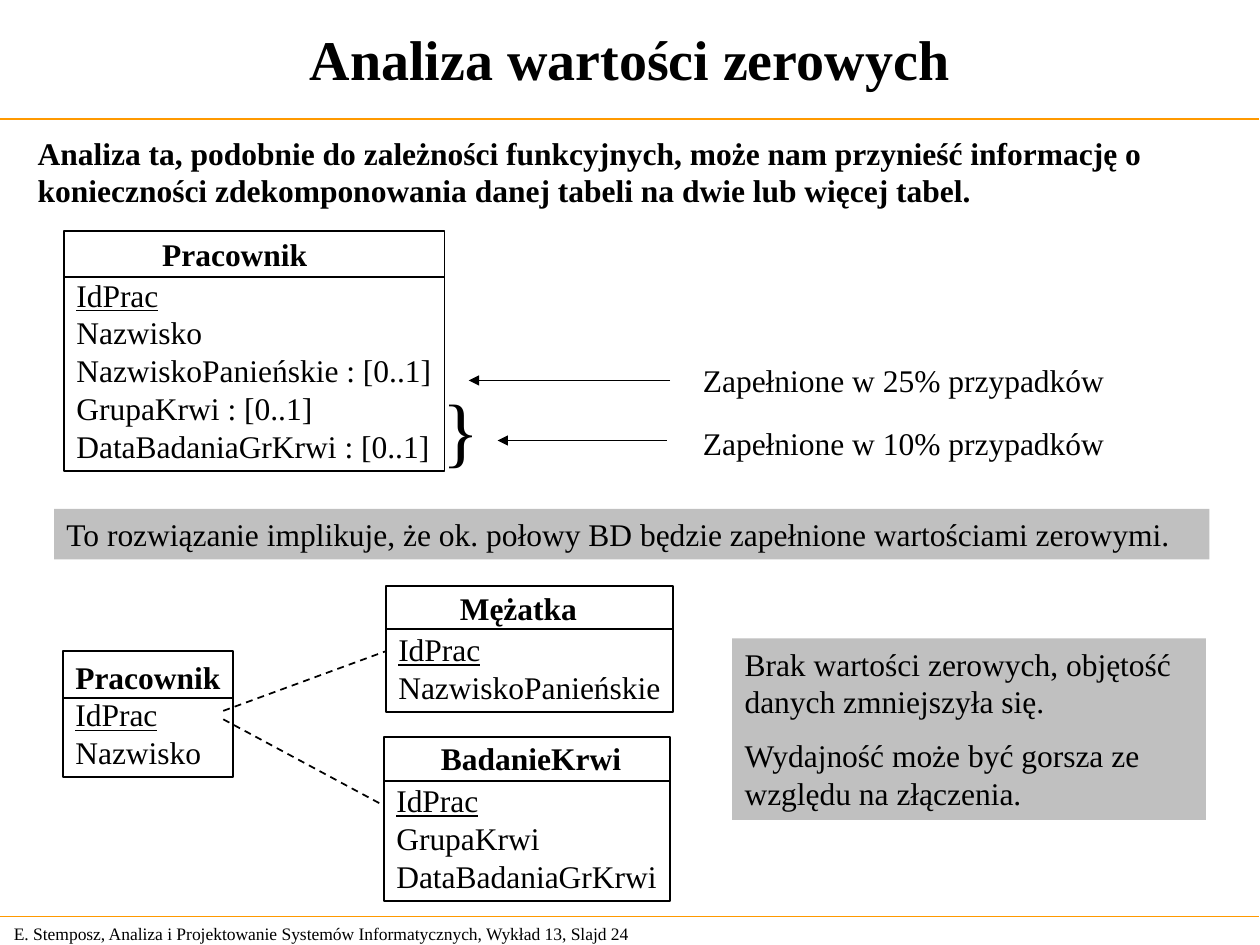
from pptx import Presentation
from pptx.dml.color import RGBColor
from pptx.enum.dml import MSO_LINE_DASH_STYLE as DASH
from pptx.enum.shapes import MSO_CONNECTOR as CONN, MSO_SHAPE as SHAPE
from pptx.enum.text import MSO_ANCHOR as ANCHOR, PP_ALIGN as ALIGN
from pptx.oxml.ns import qn
from pptx.util import Cm, Pt
from lxml import etree

FONT = "Times New Roman"
BLACK, ORANGE, GRAY = "000000", "FF9900", "C0C0C0"


def color(hex_value):
    return RGBColor.from_string(hex_value)


def write(sp, lines, size=18, bold=False, align=ALIGN.LEFT,
          anchor=ANCHOR.TOP, wrap=True, gap=0):
    tf = sp.text_frame
    tf.word_wrap = wrap
    tf.vertical_anchor = anchor
    for i, line in enumerate(lines):
        p = tf.paragraphs[0] if i == 0 else tf.add_paragraph()
        p.text = line
        p.alignment = align
        if i and gap:
            p.space_before = Pt(gap)
        p.font.name = FONT
        p.font.size = Pt(size)
        p.font.bold = bold
        p.font.color.rgb = color(BLACK)
    return tf


def add_text(s, x, y, w, h, text, **style):
    sp = s.shapes.add_textbox(Cm(x), Cm(y), Cm(w), Cm(h))
    write(sp, [text], **style)


def add_rect(s, x, y, w, h, fill=None, line=None):
    sp = s.shapes.add_shape(SHAPE.RECTANGLE, Cm(x), Cm(y), Cm(w), Cm(h))
    sp.shadow.inherit = False
    if fill:
        sp.fill.solid()
        sp.fill.fore_color.rgb = color(fill)
    else:
        sp.fill.background()
    if line:
        sp.line.color.rgb = color(line)
        sp.line.width = Pt(1)
    else:
        sp.line.fill.background()
    return sp


def add_line(s, x1, y1, x2, y2, hex_value=BLACK, width=1, dashed=False, arrow=False):
    c = s.shapes.add_connector(CONN.STRAIGHT, Cm(x1), Cm(y1), Cm(x2), Cm(y2))
    c.line.color.rgb = color(hex_value)
    c.line.width = Pt(width)
    if dashed:
        c.line.dash_style = DASH.DASH
    if arrow:
        etree.SubElement(c.line._get_or_add_ln(), qn("a:tailEnd"), type="triangle")
    etree.SubElement(c._element.spPr, qn("a:effectLst"))


def add_entity(s, x, y, w, h, rule_y, name, name_x, name_y, name_w, attributes):
    """Table box: name above the rule, key underlined below it."""
    sp = add_rect(s, x, y, w, h, line=BLACK)
    tf = write(sp, attributes, anchor=ANCHOR.BOTTOM, wrap=False)
    tf.paragraphs[0].font.underline = True
    add_line(s, x, rule_y, x + w, rule_y)
    add_text(s, name_x, name_y, name_w, 1.02, name, bold=True, wrap=False)


def add_note(s, x, y, w, h, lines):
    write(add_rect(s, x, y, w, h, fill=GRAY), lines, gap=9)


def main():
    prs = Presentation()
    prs.slide_width, prs.slide_height = Cm(25.4), Cm(19.05)
    s = prs.slides.add_slide(prs.slide_layouts[6])

    # Footer, rules and title
    add_text(s, 0.03, 18.48, 13.31, 0.69,
             "E. Stemposz, Analiza i Projektowanie Systemów Informatycznych, "
             "Wykład 13, Slajd 24", size=10, anchor=ANCHOR.MIDDLE)
    for y in (2.4, 18.48):
        add_line(s, -0.02, y, 25.38, y, ORANGE, 0.75)
    add_text(s, 0, 0, 25.4, 2.34, "Analiza wartości zerowych", size=32,
             bold=True, align=ALIGN.CENTER, anchor=ANCHOR.MIDDLE)

    # Introduction
    add_text(s, 0.51, 2.57, 24.31, 1.78,
             "Analiza ta, podobnie do zależności funkcyjnych, może nam przynieść "
             "informację o konieczności zdekomponowania danej tabeli na dwie lub "
             "więcej tabel.", bold=True)

    # Single table with optional attributes
    add_entity(s, 1.29, 4.66, 7.67, 4.83, 5.59, "Pracownik", 3.02, 4.62, 3.43,
               ["IdPrac", "Nazwisko", "NazwiskoPanieńskie : [0..1]",
                "GrupaKrwi : [0..1]", "DataBadaniaGrKrwi : [0..1]"])
    add_text(s, 8.68, 7.57, 1.24, 2.13, "}", size=44, wrap=False)

    # Fill rates, in boxes wide enough for one line
    for percent, text_y, tip_x, tail_x, line_y in (
            (25, 7.16, 9.45, 13.51, 7.67), (10, 8.42, 10.03, 13.44, 8.88)):
        add_text(s, 13.92, text_y, 9.5, 1.02,
                 f"Zapełnione w {percent}% przypadków")
        add_line(s, tail_x, line_y, tip_x, line_y, arrow=True)

    add_note(s, 1.09, 10.26, 23.29, 1.02,
             ["To rozwiązanie implikuje, że ok. połowy BD będzie zapełnione "
              "wartościami zerowymi."])

    # Decomposed tables
    add_entity(s, 1.27, 13.13, 3.43, 2.54, 14.07, "Pracownik", 1.27, 13.14, 3.43,
               ["IdPrac", "Nazwisko"])
    add_entity(s, 7.78, 11.81, 5.79, 2.54, 12.68, "Mężatka", 9.02, 11.75, 2.87,
               ["IdPrac", "NazwiskoPanieńskie"])
    add_entity(s, 7.74, 14.86, 5.77, 3.3, 15.74, "BadanieKrwi", 8.64, 14.77, 4.14,
               ["IdPrac", "GrupaKrwi", "DataBadaniaGrKrwi"])
    add_line(s, 4.5, 14.33, 7.77, 13.13, dashed=True)
    add_line(s, 4.5, 14.5, 7.72, 16.23, dashed=True)

    # Conclusions
    add_note(s, 14.76, 12.87, 9.55, 3.66,
             ["Brak wartości zerowych, objętość danych zmniejszyła się.",
              "Wydajność może być gorsza ze względu na złączenia."])

    prs.save("out.pptx")


if __name__ == "__main__":
    main()
